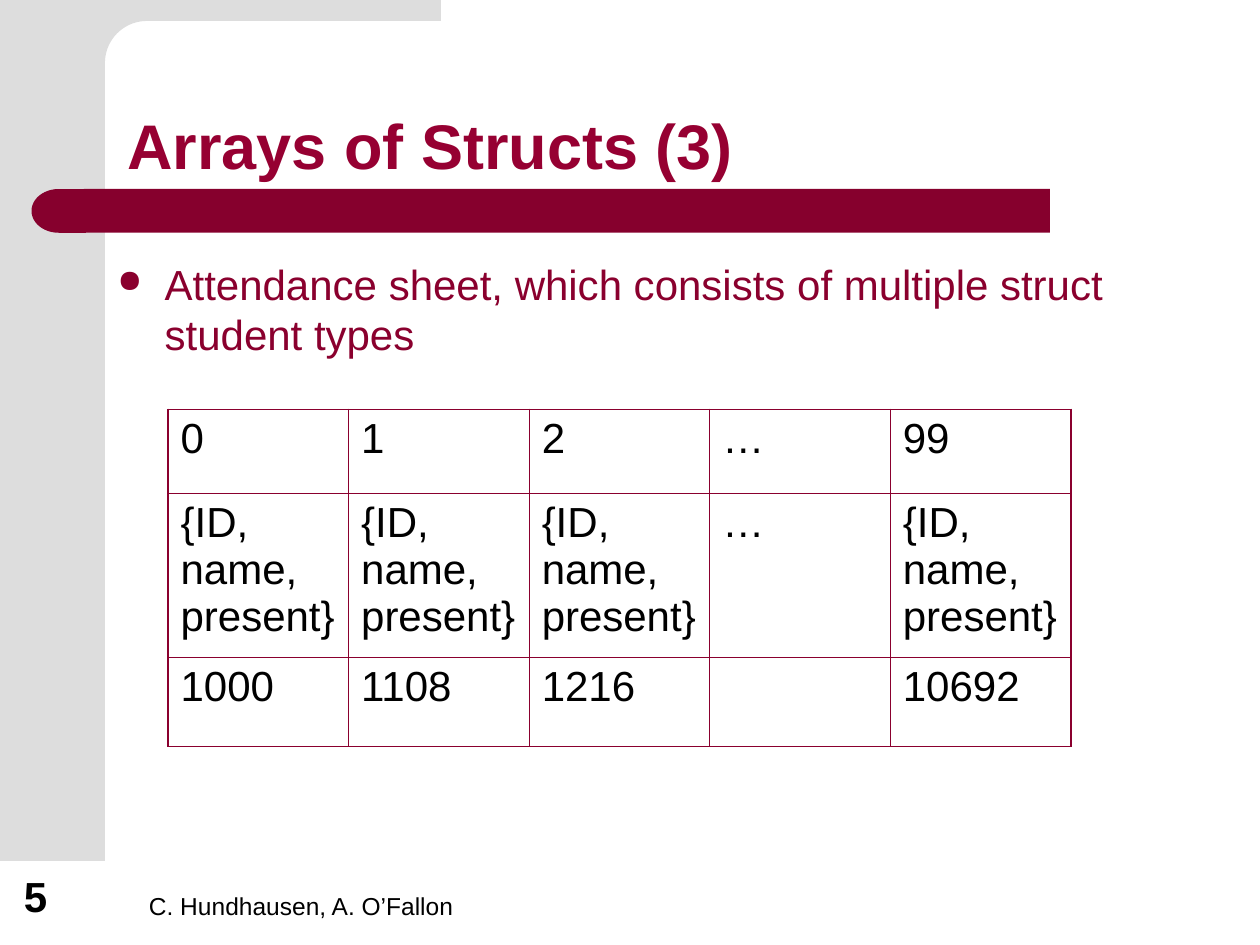
"""Build the slide on arrays of structs with its attendance table."""
import math
from dataclasses import dataclass

from lxml import etree
from pptx import Presentation
from pptx.dml.color import RGBColor
from pptx.enum import shapes, text
from pptx.oxml import ns
from pptx.util import Pt

GREY, BAR, MAROON, TITLE, BLACK = "DDDDDD", "86002D", "8A002E", "960032", "000000"
THIN, THICK = 0.45, 1.08


@dataclass
class Box:
    left: float
    top: float
    width: float
    height: float

    def lengths(self) -> tuple:
        return Pt(self.left), Pt(self.top), Pt(self.width), Pt(self.height)


@dataclass
class Style:
    size: float
    color: str = BLACK
    bold: bool = False


@dataclass
class Block:
    kind: shapes.MSO_SHAPE
    box: Box
    color: str
    rotation: float = 0


@dataclass
class Label:
    wording: str
    box: Box
    style: Style


def rgb(color: str) -> RGBColor:
    return RGBColor.from_string(color)


def paint(shape, color: str) -> None:
    shape.shadow.inherit = False
    shape.fill.solid()
    shape.fill.fore_color.rgb = rgb(color)
    shape.line.fill.background()


def write(paragraph, wording: str, style: Style) -> None:
    run = paragraph.add_run()
    run.text = wording
    run.font.name = "Arial"
    run.font.size = Pt(style.size)
    run.font.bold = style.bold
    run.font.color.rgb = rgb(style.color)


def add_block(slide, block: Block) -> None:
    shape = slide.shapes.add_shape(block.kind, *block.box.lengths())
    shape.rotation = block.rotation
    paint(shape, block.color)


def add_corner(slide, center: tuple, radius: float) -> None:
    x, y = center
    angles = [math.radians(90 + 5 * step) for step in range(19)]
    curve = [(x + radius * math.cos(a), y - radius * math.sin(a)) for a in angles]
    outline = [(252, 0), (252, y - radius), *curve, (36, y), (36, 0)]
    builder = slide.shapes.build_freeform(Pt(252), 0, scale=1.0)
    builder.add_line_segments([(Pt(px), Pt(py)) for px, py in outline[1:]])
    paint(builder.convert_to_shape(), GREY)


def add_label(slide, label: Label) -> None:
    frame = slide.shapes.add_textbox(*label.box.lengths()).text_frame
    frame.word_wrap = True
    frame.vertical_anchor = text.MSO_ANCHOR.BOTTOM
    write(frame.paragraphs[0], label.wording, label.style)


def set_title(slide, wording: str, box: Box) -> None:
    title = slide.shapes.title
    title.left, title.top, title.width, title.height = box.lengths()
    frame = title.text_frame
    frame.auto_size = text.MSO_AUTO_SIZE.NONE
    frame.vertical_anchor = text.MSO_ANCHOR.BOTTOM
    heading = frame.paragraphs[0]
    heading.alignment = text.PP_ALIGN.LEFT
    heading.line_spacing = 0.9
    write(heading, wording, Style(36, TITLE, True))


def add_bullet(slide, wording: str, box: Box) -> None:
    frame = slide.shapes.add_textbox(*box.lengths()).text_frame
    frame.word_wrap = True
    point = frame.paragraphs[0]
    point.space_before = Pt(6)
    write(point, wording, Style(24, MAROON))
    props = point._p.get_or_add_pPr()
    props.set("marL", str(Pt(27)))
    props.set("indent", str(Pt(-27)))
    color = etree.SubElement(props, ns.qn("a:buClr"))
    etree.SubElement(color, ns.qn("a:srgbClr"), val=MAROON)
    etree.SubElement(props, ns.qn("a:buSzPct"), val="75000")
    etree.SubElement(props, ns.qn("a:buChar"), char="●")


def set_border(cell, side: str, width: float) -> None:
    props = cell._tc.get_or_add_tcPr()
    line = etree.SubElement(props, ns.qn(f"a:ln{side}"), w=str(Pt(width)))
    fill = etree.SubElement(line, ns.qn("a:solidFill"))
    etree.SubElement(fill, ns.qn("a:srgbClr"), val=MAROON)


def add_grid(slide, rows: list, heights: list, box: Box) -> None:
    count = len(rows[0])
    table = slide.shapes.add_table(len(rows), count, *box.lengths()).table
    table.first_row = table.horz_banding = False
    for column in table.columns:
        column.width = Pt(box.width / count)
    for r, (values, height) in enumerate(zip(rows, heights)):
        table.rows[r].height = Pt(height)
        for c, value in enumerate(values):
            cell = table.cell(r, c)
            outer = {"L": c == 0, "R": c == count - 1, "T": r == 0, "B": r == len(rows) - 1}
            for side, is_outer in outer.items():
                set_border(cell, side, THICK if is_outer else THIN)
            cell.fill.background()
            if value:
                entry = cell.text_frame.paragraphs[0]
                entry.space_before = Pt(6)
                write(entry, value, Style(24))


def main() -> None:
    deck = Presentation()
    deck.slide_width, deck.slide_height = Pt(720), Pt(540)
    slide = deck.slides.add_slide(deck.slide_layouts[5])
    kinds = shapes.MSO_SHAPE
    add_block(slide, Block(kinds.RECTANGLE, Box(0, 0, 60, 492), GREY))
    add_corner(slide, (84, 36), 24)
    add_block(slide, Block(kinds.RECTANGLE, Box(48, 108, 552, 25), BAR))
    add_block(slide, Block(kinds.FLOWCHART_DELAY, Box(18, 108, 31, 25), BAR, 180))
    add_label(slide, Label("C. Hundhausen, A. O’Fallon", Box(78, 492, 270, 37.5), Style(14)))
    add_label(slide, Label("5", Box(6.5, 492, 46, 38), Style(24, bold=True)))
    set_title(slide, "Arrays of Structs (3)", Box(65.5, 29.5, 613, 78.5))
    add_bullet(slide, "Attendance sheet, which consists of multiple struct student types",
               Box(60, 144, 582, 293))
    student = "{ID, name, present}"
    rows = [["0", "1", "2", "…", "99"],
            [student, student, student, "…", student],
            ["1000", "1108", "1216", "", "10692"]]
    add_grid(slide, rows, [48, 93.5, 51], Box(96, 234, 516, 192.5))
    deck.save("out.pptx")


if __name__ == "__main__":
    main()
